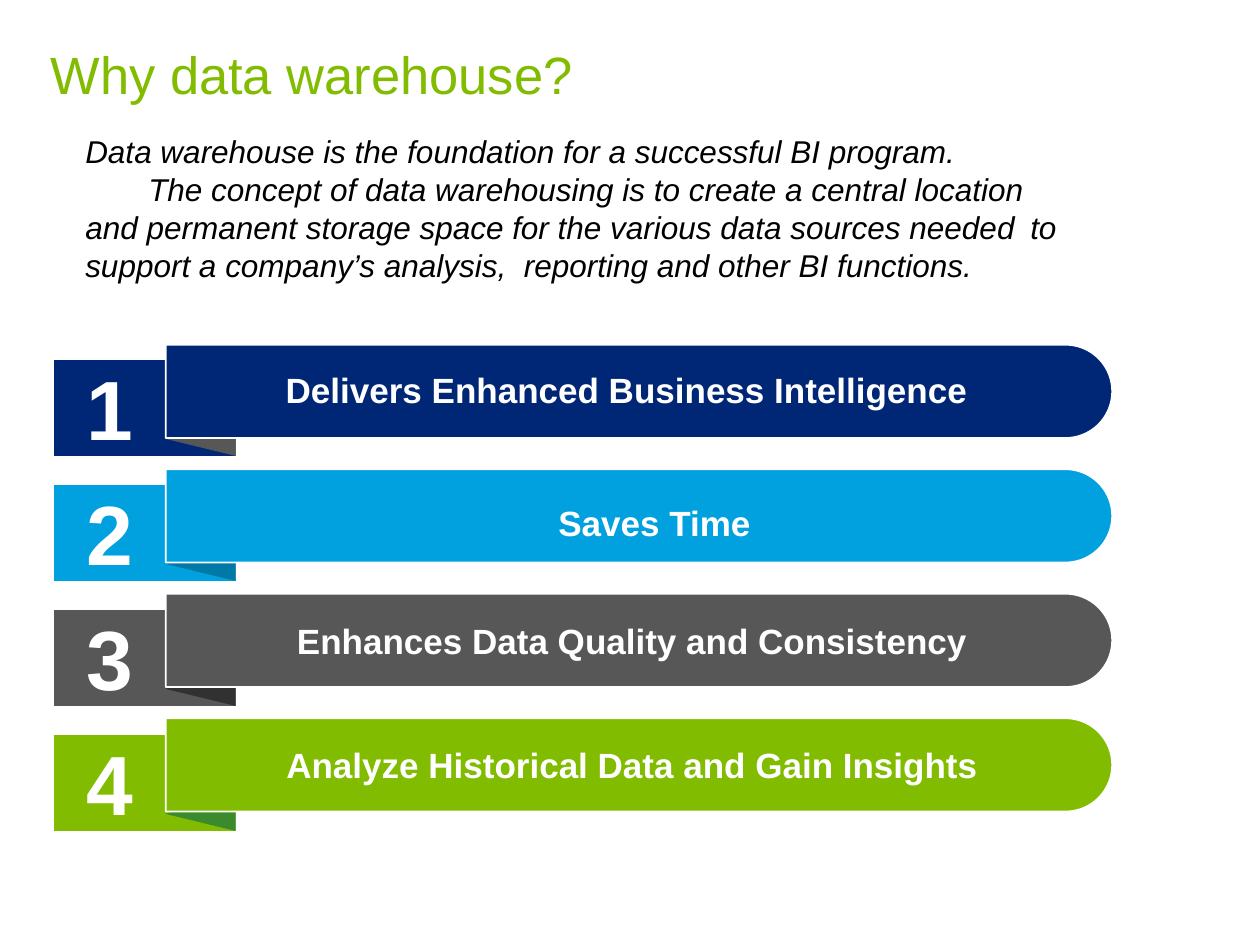
from pptx import Presentation
from pptx.dml.color import RGBColor
from pptx.enum.shapes import MSO_SHAPE as Shape
from pptx.enum.text import MSO_ANCHOR as Anchor, MSO_AUTO_SIZE as AutoSize, PP_ALIGN as Align
from pptx.util import Cm, Pt

COLORS = {
    "navy": "002776",
    "blue": "00A1DE",
    "dark_blue": "0079A6",
    "gray": "575757",
    "dark_gray": "313131",
    "green": "81BC00",
    "dark_green": "3C8A2E",
    "white": "FFFFFF",
    "black": "000000",
}

INTRO = [
    "Data warehouse is the foundation for a successful BI program.",
    "\tThe concept of data warehousing is to create a central location "
    "\tand permanent storage space for the various data sources needed "
    "\tto support a company’s analysis,  reporting and other BI functions.",
]

# Ribbon colour, fold colour, label, and left and top of a separate label box
REASONS = [
    ("navy", "gray", "Delivers Enhanced Business Intelligence", (3.81, 7.42)),
    ("blue", "dark_blue", "Saves Time", (4.37, 10.11)),
    ("gray", "dark_gray", "Enhances Data Quality and Consistency", None),
    ("green", "dark_green", "Analyze Historical Data and Gain Insights", None),
]

TAB_LEFT, TAB_TOP, TAB_WIDTH, TAB_HEIGHT, TAB_PITCH = 1.09, 7.26, 3.66, 1.93, 2.52
BAR_LEFT, BAR_TOP, BAR_WIDTH, BAR_HEIGHT, BAR_PITCH = 3.34, 6.95, 19.08, 1.88, 2.51
FOLD_WIDTH, FOLD_HEIGHT = 1.42, 0.69


class SlideBuilder:
    """Holds the style and the current slide."""

    font_name = "Arial"

    def __init__(self, presentation):
        self.slide = presentation.slides.add_slide(presentation.slide_layouts[5])

    def color(self, name):
        return RGBColor.from_string(COLORS[name])

    def fill_frame(self, frame, lines, size, color="white", align=Align.CENTER,
                   bold=False, italic=False):
        frame.text = "\n".join(lines)
        for paragraph in frame.paragraphs:
            paragraph.alignment = align
            font = paragraph.font
            font.name, font.size = self.font_name, Pt(size)
            font.bold, font.italic = bold, italic
            font.color.rgb = self.color(color)

    def set_margins(self, frame, x, y):
        frame.margin_left = frame.margin_right = Cm(x)
        frame.margin_top = frame.margin_bottom = Cm(y)

    def title(self, text, left, top, width, height):
        title = self.slide.shapes.title
        title.left, title.top = Cm(left), Cm(top)
        title.width, title.height = Cm(width), Cm(height)
        frame = title.text_frame
        self.set_margins(frame, 0, 0)
        frame.vertical_anchor = Anchor.BOTTOM
        frame.auto_size = AutoSize.NONE
        self.fill_frame(frame, [text], 30, "green", Align.LEFT)

    def text(self, lines, left, top, width, height, size, margins=(0, 0), **style):
        box = self.slide.shapes.add_textbox(Cm(left), Cm(top), Cm(width), Cm(height))
        frame = box.text_frame
        frame.word_wrap = True
        frame.auto_size = AutoSize.SHAPE_TO_FIT_TEXT
        self.set_margins(frame, *margins)
        self.fill_frame(frame, lines, size, **style)

    def shape(self, kind, left, top, width, height, fill, rotation=0):
        """Add a shape that fills the given area after a quarter turn, if any."""
        if rotation:
            left, top = left + (width - height) / 2, top + (height - width) / 2
            width, height = height, width
        shape = self.slide.shapes.add_shape(kind, Cm(left), Cm(top), Cm(width), Cm(height))
        shape.rotation = rotation
        shape.shadow.inherit = False
        shape.fill.solid()
        shape.fill.fore_color.rgb = self.color(fill)
        shape.line.fill.background()
        return shape

    def bar(self, left, top, width, height, fill, label=None):
        bar = self.shape(Shape.ROUND_2_SAME_RECTANGLE, left, top, width, height, fill, 90)
        bar.adjustments[0], bar.adjustments[1] = 0.5, 0
        bar.line.color.rgb = self.color("white")
        bar.line.width = Pt(1)
        if label:
            frame = bar.text_frame
            frame.vertical_anchor = Anchor.MIDDLE
            # Turn the label back to horizontal inside the rotated bar
            frame._txBody.bodyPr.set("vert", "vert270")
            self.fill_frame(frame, [label], 20, bold=True)


def main():
    presentation = Presentation()
    presentation.slide_width, presentation.slide_height = Cm(25.4), Cm(19.05)
    builder = SlideBuilder(presentation)

    # Title and introduction
    builder.title("Why data warehouse?", 1.02, 0.81, 23.29, 1.3)
    builder.text(INTRO, 1.47, 2.54, 21.79, 3.33, 18, margins=(0.25, 0.13),
                 color="black", align=Align.LEFT, italic=True)

    # Numbered ribbons
    for index, (color, fold_color, label, label_place) in enumerate(REASONS):
        tab_top = TAB_TOP + index * TAB_PITCH
        bar_top = BAR_TOP + index * BAR_PITCH

        builder.shape(Shape.RECTANGLE, TAB_LEFT, tab_top, TAB_WIDTH, TAB_HEIGHT, color)
        builder.shape(Shape.ISOSCELES_TRIANGLE, TAB_LEFT + TAB_WIDTH - FOLD_WIDTH,
                      tab_top + TAB_HEIGHT - FOLD_HEIGHT, FOLD_WIDTH, FOLD_HEIGHT,
                      fold_color, 270)
        builder.bar(BAR_LEFT, bar_top, BAR_WIDTH, BAR_HEIGHT, color,
                    None if label_place else label)
        if label_place:
            builder.text([label], *label_place, 17.65, 0.86, 20, bold=True)
        builder.text([str(index + 1)], 1.25, tab_top - 0.17, 1.93, 2.26, 48,
                     margins=(0.1, 0.1), bold=True)

    presentation.save("out.pptx")


if __name__ == "__main__":
    main()
